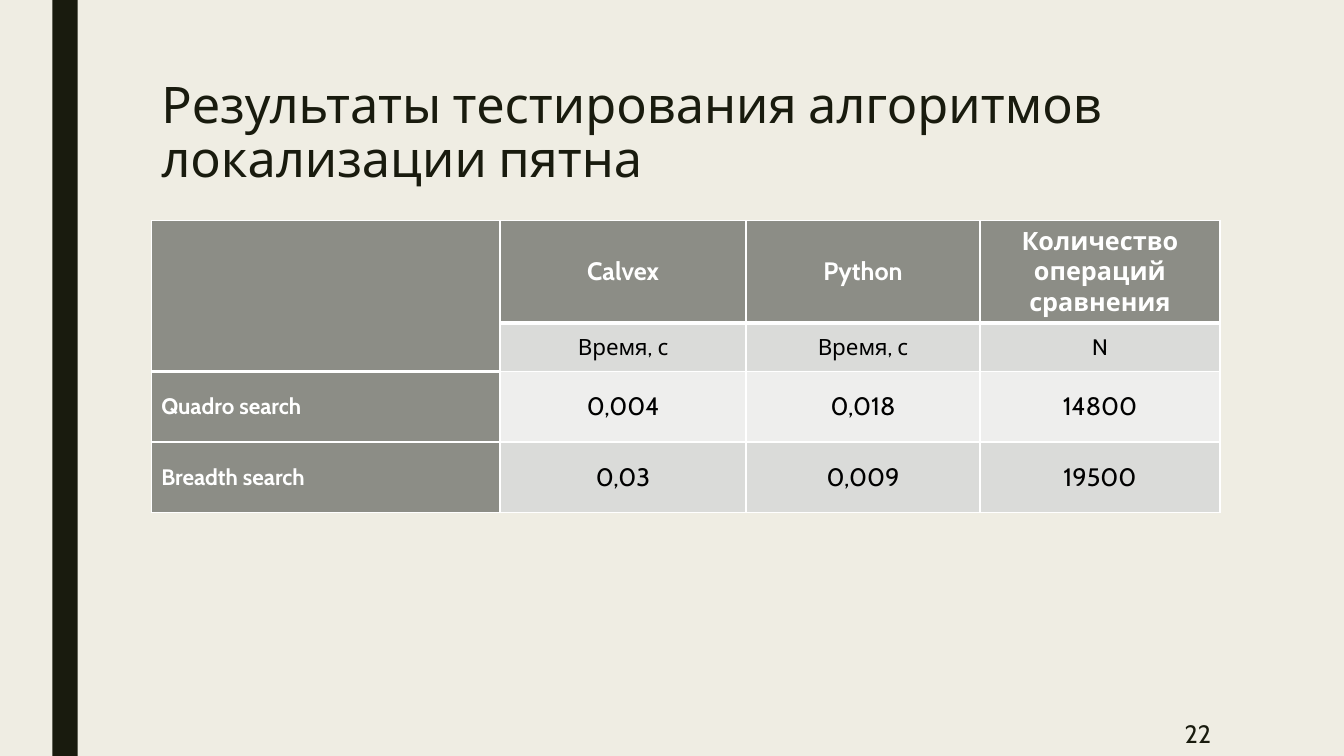
from dataclasses import dataclass

from lxml import etree
from pptx import Presentation, util as u
from pptx.dml.color import RGBColor
from pptx.enum import shapes, text
from pptx.oxml import ns


@dataclass(frozen=True)
class Theme:
    font: str = "Cabin"
    paper: str = "EFEDE3"
    ink: str = "191B0E"
    black: str = "000000"
    white: str = "FFFFFF"
    header: str = "8C8D86"
    bands: tuple[str, str] = ("DADBD9", "EEEEED")
    title_size: int = 36
    large: int = 18
    small: int = 16
    thin_line: int = 1
    thick_line: int = 3


@dataclass(frozen=True)
class Box:
    """A rectangle in inches on the slide."""
    left: float
    top: float
    width: float
    height: float

    def lengths(self) -> list[u.Inches]:
        return [u.Inches(n) for n in (self.left, self.top, self.width, self.height)]


@dataclass(frozen=True)
class TextStyle:
    size: int
    color: str
    bold: bool = False
    align: text.PP_ALIGN = text.PP_ALIGN.CENTER


THEME = Theme()
WIDTH, HEIGHT = 13.33, 7.5
MARGIN = 1.5
COLUMNS = (3.46, 2.44, 2.32, 2.38)
ROWS = (1.0, 0.48, 0.7, 0.7)
BAR = Box(0.52, 0, 0.25, HEIGHT)
TITLE = Box(MARGIN, HEIGHT / 10, 10.5, 0.18 * HEIGHT)
NUMBER = Box(10.36, 7.06, 1.75, 0.44)
RESULTS = Box(MARGIN, 2.19, sum(COLUMNS), sum(ROWS))
RESULT_ROWS = (
    ("", "Calvex", "Python", "Количество операций сравнения"),
    ("", "Время, с", "Время, с", "N"),
    ("Quadro search", "0,004", "0,018", "14800"),
    ("Breadth search", "0,03", "0,009", "19500"),
)

HEADING = TextStyle(THEME.large, THEME.white, bold=True)
UNIT = TextStyle(THEME.small, THEME.black)
VALUE = TextStyle(THEME.large, THEME.black)
ROW_LABEL = TextStyle(THEME.small, THEME.white, bold=True, align=text.PP_ALIGN.LEFT)


def write(text_frame, words: str, style: TextStyle) -> None:
    text_frame.text = words
    text_frame.word_wrap = True
    paragraph = text_frame.paragraphs[0]
    paragraph.alignment = style.align
    font = paragraph.runs[0].font if paragraph.runs else paragraph.font
    font.name, font.size, font.bold = THEME.font, u.Pt(style.size), style.bold
    font.color.rgb = RGBColor.from_string(style.color)


def cell_style(row: int, column: int) -> TextStyle:
    if row == 0:
        return HEADING
    if column == 0:
        return ROW_LABEL
    return UNIT if row == 1 else VALUE


def set_borders(cell, row: int, column: int) -> None:
    """Rule a cell thinly, with a thick line under the header."""
    last_header_row = 1 if column == 0 else 0
    thick_sides = {last_header_row: "B", last_header_row + 1: "T"}
    properties = cell._tc.get_or_add_tcPr()
    for side in "LRTB":
        thick = thick_sides.get(row) == side
        points = THEME.thick_line if thick else THEME.thin_line
        line = etree.SubElement(properties, ns.qn(f"a:ln{side}"), w=str(u.Pt(points)))
        fill = etree.SubElement(line, ns.qn("a:solidFill"))
        etree.SubElement(fill, ns.qn("a:srgbClr"), val=THEME.white)


def add_results(slide) -> None:
    table = slide.shapes.add_table(len(ROWS), len(COLUMNS), *RESULTS.lengths()).table
    for column, width in zip(table.columns, COLUMNS):
        column.width = u.Inches(width)
    for row, height in zip(table.rows, ROWS):
        row.height = u.Inches(height)
    table.cell(0, 0).merge(table.cell(1, 0))
    for row, values in enumerate(RESULT_ROWS):
        for column, value in enumerate(values):
            cell = table.cell(row, column)
            write(cell.text_frame, value, cell_style(row, column))
            cell.vertical_anchor = text.MSO_ANCHOR.MIDDLE
            set_borders(cell, row, column)
            is_header = row == 0 or column == 0
            color = THEME.header if is_header else THEME.bands[(row - 1) % 2]
            cell.fill.solid()
            cell.fill.fore_color.rgb = RGBColor.from_string(color)


def main() -> None:
    presentation = Presentation()
    presentation.slide_width = u.Inches(WIDTH)
    presentation.slide_height = u.Inches(HEIGHT)
    slide = presentation.slides.add_slide(presentation.slide_layouts.get_by_name("Title Only"))

    # Background and side bar
    slide.background.fill.solid()
    slide.background.fill.fore_color.rgb = RGBColor.from_string(THEME.paper)
    bar = slide.shapes.add_shape(shapes.MSO_SHAPE.RECTANGLE, *BAR.lengths())
    bar.shadow.inherit = False
    bar.fill.solid()
    bar.fill.fore_color.rgb = RGBColor.from_string(THEME.ink)
    bar.line.fill.background()

    # Title
    title = slide.shapes.title
    title.left, title.top, title.width, title.height = TITLE.lengths()
    write(title.text_frame, "Результаты тестирования алгоритмов локализации пятна",
          TextStyle(THEME.title_size, THEME.ink, align=text.PP_ALIGN.LEFT))
    title.text_frame.auto_size = text.MSO_AUTO_SIZE.NONE
    title.text_frame.vertical_anchor = text.MSO_ANCHOR.TOP
    title.text_frame.paragraphs[0].line_spacing = 0.89

    # Results table
    add_results(slide)

    # Slide number
    number = slide.shapes.add_textbox(*NUMBER.lengths())
    write(number.text_frame, "22",
          TextStyle(THEME.large, THEME.ink, align=text.PP_ALIGN.RIGHT))
    number.text_frame.vertical_anchor = text.MSO_ANCHOR.MIDDLE

    presentation.save("out.pptx")


if __name__ == "__main__":
    main()
